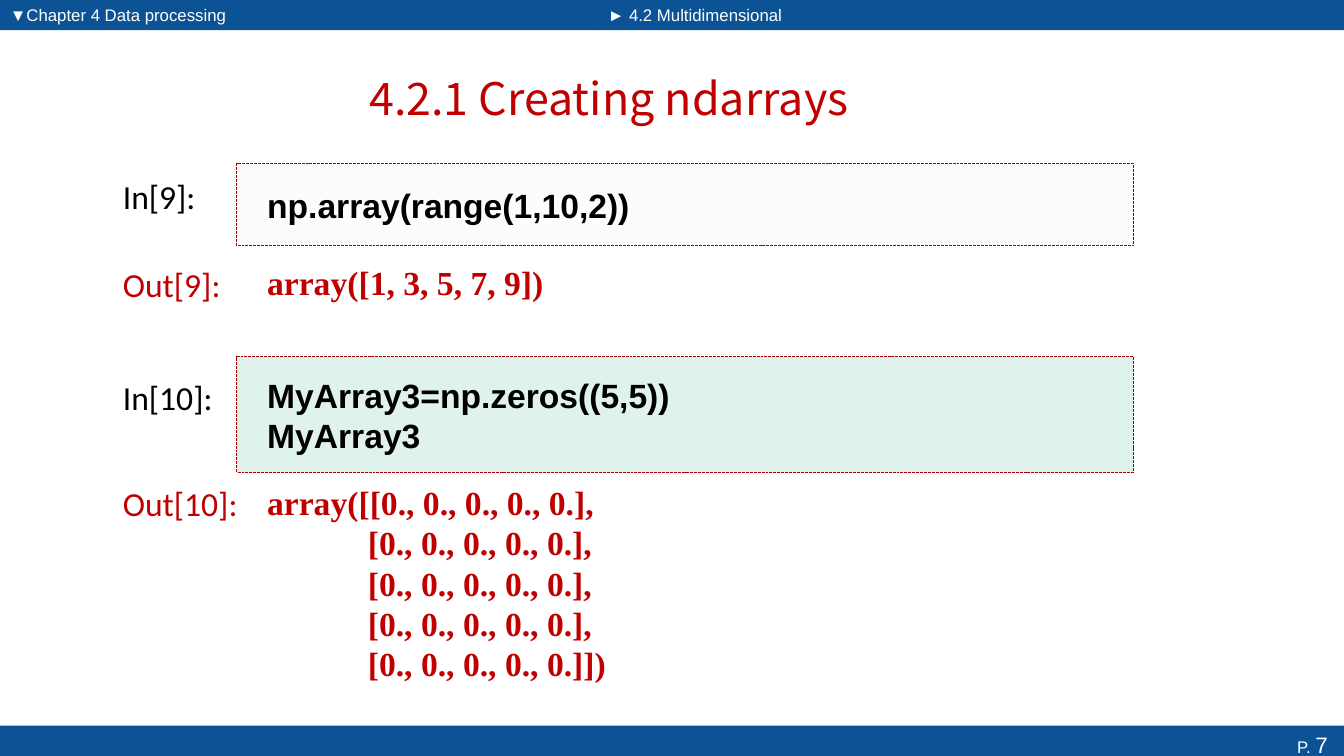
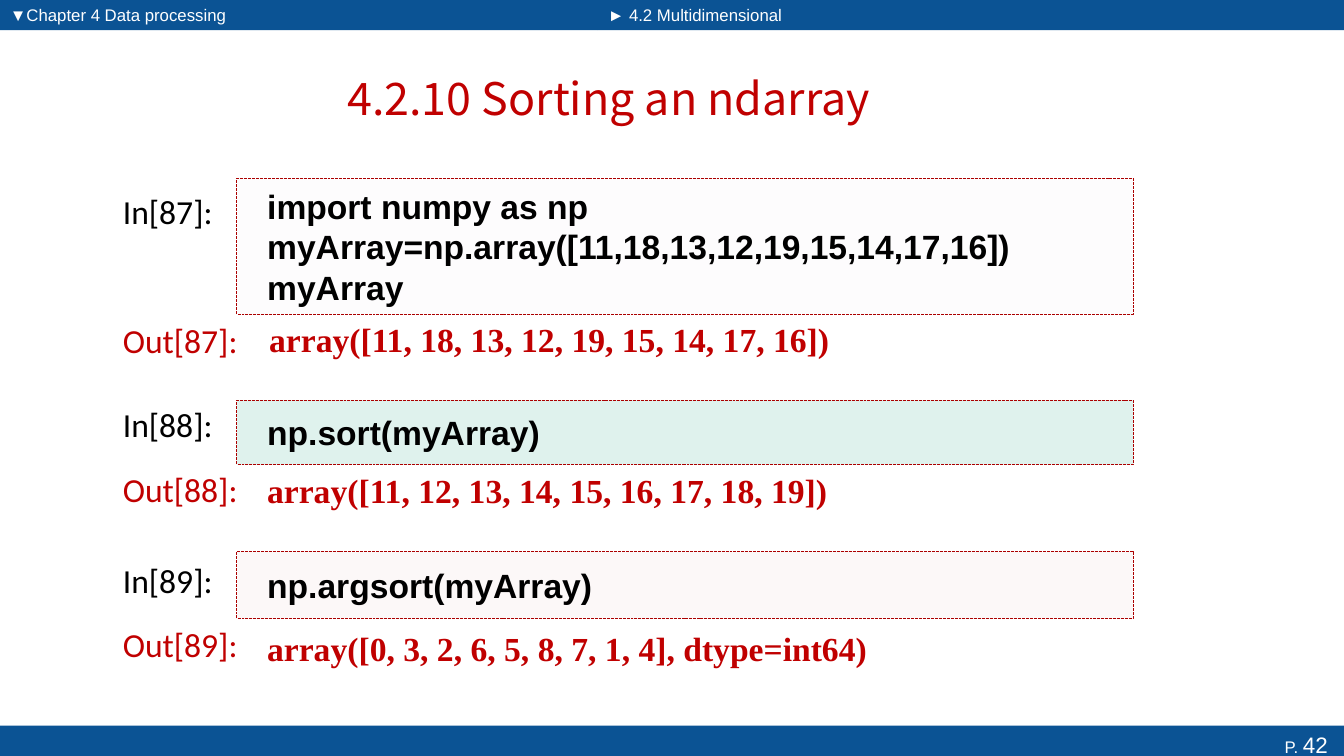
from dataclasses import dataclass

from pptx import Presentation
from pptx.dml.color import RGBColor as Rgb
from pptx.enum.dml import MSO_LINE as Dash
from pptx.enum.shapes import MSO_SHAPE as Shape
from pptx.enum.text import MSO_ANCHOR as Anchor, PP_ALIGN as Align
from pptx.oxml.xmlchemy import OxmlElement as Node
from pptx.util import Inches, Pt


@dataclass(frozen=True)
class Theme:
    blue: str = "0B5394"
    red: str = "C00000"
    edge: str = "AB0000"
    black: str = "000000"
    white: str = "FFFFFF"
    gray: str = "F1EEF4"
    green: str = "0C9B74"
    pink: str = "EDCDCB"
    alpha: int = 13
    title: int = 32
    body: int = 24
    page: int = 16
    small: int = 12
    head: str = "Noto Sans CJK SC"
    sans: str = "Arial"
    label: str = "Calibri"
    serif: str = "Times New Roman"


@dataclass(frozen=True)
class Cell:
    num: int
    tint: str
    top: float
    high: float
    code: tuple
    below: float
    tall: float
    result: tuple
    tag_in: float
    tag_out: float
    shift: float = 0


T = Theme()
WIDE, HIGH = 13.33, 7.5
SPLIT, BAND = 5.93, 0.3
LEFT = 1.12


def style(font, face, size, color, bold=False):
    font.name, font.size, font.bold = face, Pt(size), bold
    font.color.rgb = Rgb.from_string(color)


def write(shape, lines, face, size, color, bold=False,
          align=Align.LEFT, anchor=Anchor.TOP, inset=0.1):
    frame = shape.text_frame
    frame.word_wrap = True
    frame.vertical_anchor = anchor
    frame.margin_left = Inches(inset)
    frame.text = "\n".join(lines)
    for para in frame.paragraphs:
        para.alignment = align
        style(para.font, face, size, color, bold)


def text(slide, box, lines, *args, **opts):
    shape = slide.shapes.add_textbox(*map(Inches, box))
    write(shape, lines, *args, **opts)


def block(slide, box, color):
    shape = slide.shapes.add_shape(Shape.RECTANGLE, *map(Inches, box))
    shape.shadow.inherit = False
    shape.fill.solid()
    shape.fill.fore_color.rgb = Rgb.from_string(color)
    shape.line.fill.background()
    return shape


def header(slide):
    tabs = ((0, SPLIT, "▼Chapter 4 Data processing"),
            (SPLIT, WIDE - SPLIT, "► 4.2 Multidimensional"))
    for left, wide, name in tabs:
        box = (left, 0, wide, BAND)
        block(slide, box, T.blue)
        text(slide, box, [name], T.sans, T.small, T.white)


def footer(slide, page):
    band = block(slide, (0, HIGH - BAND, WIDE, BAND), T.blue)
    frame = band.text_frame
    frame.vertical_anchor = Anchor.TOP
    frame.margin_right, frame.margin_bottom = Inches(0.16), 0
    para = frame.paragraphs[0]
    para.alignment = Align.RIGHT
    for word, size in (("P. ", T.small), (str(page), T.page)):
        run = para.add_run()
        run.text = word
        style(run.font, T.sans, size, T.white)


def panel(slide, box, tint, lines):
    shape = block(slide, box, tint)
    alpha = Node("a:alpha")
    alpha.set("val", str(T.alpha * 1000))
    shape.fill._xPr.find(".//{*}srgbClr").append(alpha)
    shape.line.color.rgb = Rgb.from_string(T.edge)
    shape.line.width = Pt(0.7)
    shape.line.dash_style = Dash.SQUARE_DOT
    write(shape, lines, T.sans, T.body, T.black, True,
          anchor=Anchor.MIDDLE, inset=0.3)


def cell(slide, left, item):
    tags = (("In", item.top + item.tag_in, T.black),
            ("Out", item.below + item.tag_out, T.red))
    for name, top, color in tags:
        text(slide, (left, top, 1.54, 0.5), [f"{name}[{item.num}]:"],
             T.label, T.body, color)
    side = left + 1.23
    panel(slide, (side, item.top, 8.89, item.high), item.tint, item.code)
    text(slide, (side + item.shift, item.below, 8.74, item.tall),
         item.result, T.serif, T.body, T.red, True,
         anchor=Anchor.MIDDLE, inset=0.3)


def page(deck, num, title, cells):
    slide = deck.slides.add_slide(deck.slide_layouts[6])
    header(slide)
    footer(slide, num)
    text(slide, (0.68, 0.52, 10.72, 0.9), [title], T.head, T.title, T.red,
         align=Align.CENTER, anchor=Anchor.MIDDLE)
    for item in cells:
        cell(slide, LEFT, item)


def zeros(size):
    row = "[" + ", ".join(["0."] * size) + "]"
    pad = " " * 12
    inner = [f"{pad}{row}," for _ in range(size - 2)]
    return (f"array([{row},", *inner, f"{pad}{row}])")


PAGES = (
    (7, "4.2.1 Creating ndarrays", (
        Cell(9, T.gray, 1.62, 0.82, ("np.array(range(1,10,2))",),
             2.47, 0.65, ("array([1, 3, 5, 7, 9])",), 0.08, 0.1),
        Cell(10, T.green, 3.54, 1.15,
             ("MyArray3=np.zeros((5,5))", "MyArray3"),
             4.58, 2.4, zeros(5), 0.15, 0.16),
    )),
    (42, "4.2.10 Sorting an ndarray", (
        Cell(87, T.gray, 1.77, 1.35,
             ("import numpy as np",
              "myArray=np.array([11,18,13,12,19,15,14,17,16])", "myArray"),
             3.04, 0.65, ("array([11, 18, 13, 12, 19, 15, 14, 17, 16])",),
             0.07, 0.08, 0.02),
        Cell(88, T.green, 3.97, 0.64, ("np.sort(myArray)",),
             4.44, 0.85, ("array([11, 12, 13, 14, 15, 16, 17, 18, 19])",),
             -0.01, 0.16),
        Cell(89, T.pink, 5.47, 0.67, ("np.argsort(myArray)",),
             6.1, 0.65, ("array([0, 3, 2, 6, 5, 8, 7, 1, 4], dtype=int64)",),
             0.04, 0.04),
    )),
)


def main():
    deck = Presentation()
    deck.slide_width, deck.slide_height = Inches(WIDE), Inches(HIGH)
    for num, title, cells in PAGES:
        page(deck, num, title, cells)
    deck.save("out.pptx")


if __name__ == "__main__":
    main()
